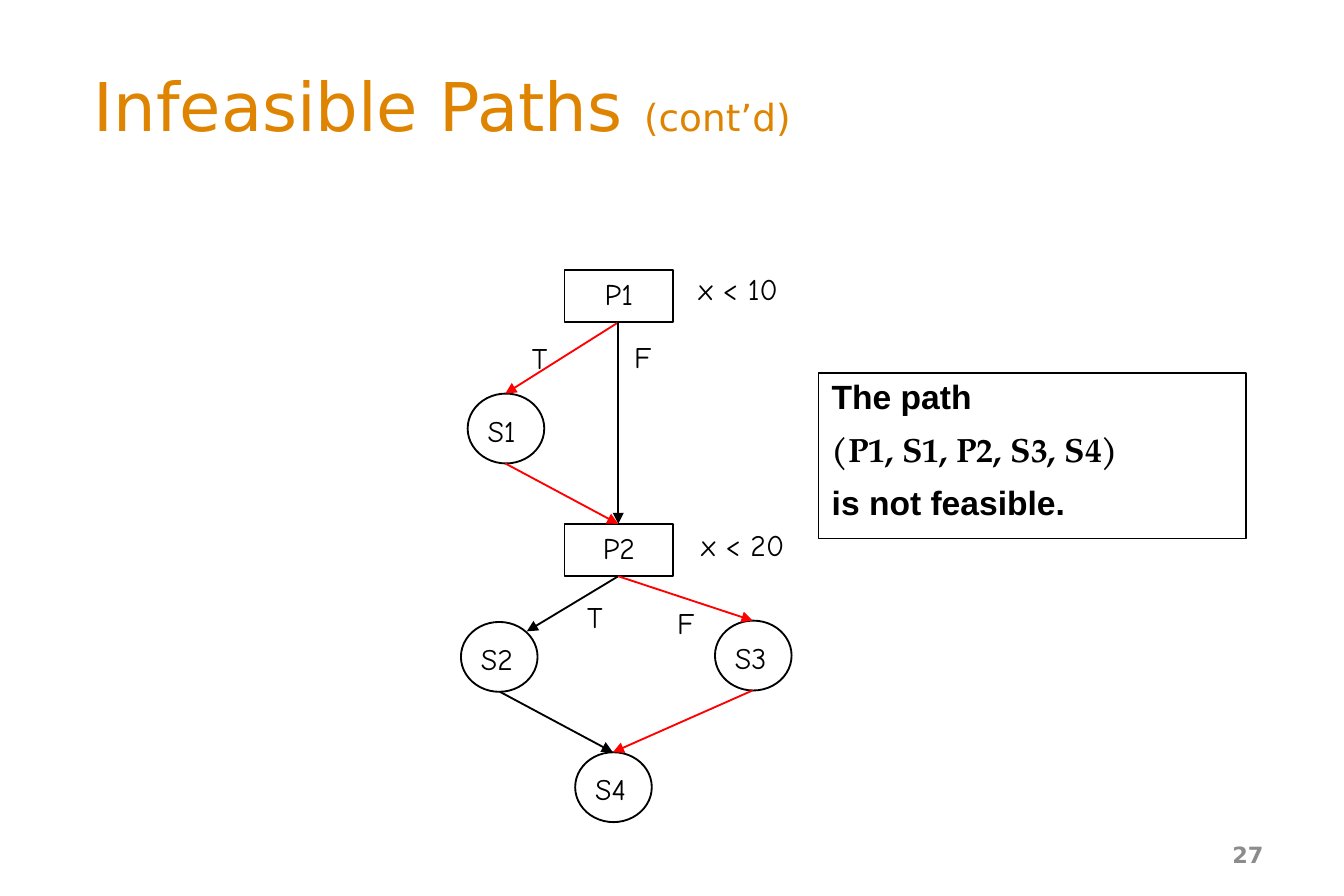
from dataclasses import dataclass

from lxml.etree import SubElement
from pptx import Presentation
from pptx.dml.color import RGBColor as Rgb
from pptx.enum.shapes import MSO_CONNECTOR as Conn, MSO_SHAPE as Shape
from pptx.enum.text import MSO_ANCHOR as Anchor, PP_ALIGN as Align
from pptx.oxml.ns import qn
from pptx.util import Pt

PX = 9144
INK = {"title": "DE8400", "black": "000000", "red": "FF0000", "gray": "8C8C8C"}
SANS, COMIC, ARIAL, SERIF = "DejaVu Sans", "Comic Neue", "Arial", "TeX Gyre Pagella"


@dataclass(frozen=True)
class Box:
    x: int
    y: int
    w: int
    h: int

    def emu(self) -> list[int]:
        return [v * PX for v in (self.x, self.y, self.w, self.h)]

    def point(self, fx: float, fy: float) -> tuple[int, int]:
        return round(self.x + fx * self.w), round(self.y + fy * self.h)


@dataclass(frozen=True)
class Edge:
    start: str
    end: str
    ink: str = "black"
    at: tuple[float, float] = (0.5, 0)


@dataclass(frozen=True)
class Label:
    text: str
    x: int
    y: int
    w: int = 53


TESTS = {"P1": Box(420, 201, 81, 39), "P2": Box(420, 390, 81, 39)}
STEPS = {
    name: Box(x, y, 57, 52)
    for name, x, y in (("S1", 348, 293), ("S2", 343, 463), ("S3", 532, 462), ("S4", 428, 560))
}
NODES = TESTS | STEPS
EDGES = [
    Edge("P1", "S1", "red"),
    Edge("P1", "P2"),
    Edge("P2", "S2", at=(0.86, 0.14)),
    Edge("P2", "S3", "red"),
    Edge("S2", "S4"),
    Edge("S3", "S4", "red"),
    Edge("S1", "P2", "red"),
]
LABELS = [
    Label("T", 386, 251),
    Label("F", 462, 250),
    Label("x < 10", 510, 200, 110),
    Label("x < 20", 512, 390, 110),
    Label("T", 427, 444),
    Label("F", 494, 448),
]


def write(shape, lines, *, size=16, ink="black", bold=False, align=Align.LEFT,
          anchor=Anchor.TOP, wrap=True, space=0.9, gap=0) -> None:
    frame = shape.text_frame
    frame.word_wrap, frame.vertical_anchor = wrap, anchor
    for i, runs in enumerate(lines):
        para = frame.add_paragraph() if i else frame.paragraphs[0]
        para.alignment, para.line_spacing = align, space
        para.space_before = Pt(gap if i else 0)
        for text, face, *own in runs:
            run = para.add_run()
            run.text = text
            font = run.font
            font.name, font.bold = face, bold
            font.size = Pt(own[0] if own else size)
            font.color.rgb = Rgb.from_string(INK[ink])


def draw(slide, box: Box, kind):
    shape = slide.shapes.add_shape(kind, *box.emu())
    shape.shadow.inherit = False
    shape.fill.background()
    shape.line.color.rgb = Rgb.from_string(INK["black"])
    shape.line.width = Pt(1)
    return shape


def note(slide, box: Box, lines, **style) -> None:
    write(slide.shapes.add_textbox(*box.emu()), lines, **style)


def link(slide, edge: Edge) -> None:
    ends = NODES[edge.start].point(0.5, 1) + NODES[edge.end].point(*edge.at)
    line = slide.shapes.add_connector(Conn.STRAIGHT, *(v * PX for v in ends))
    line.line.color.rgb = Rgb.from_string(INK[edge.ink])
    line.line.width = Pt(1)
    SubElement(line.line._get_or_add_ln(), qn("a:tailEnd"), type="triangle")
    SubElement(line._element.spPr, qn("a:effectLst"))


def main() -> None:
    deck = Presentation()
    deck.slide_width, deck.slide_height = 1000 * PX, 667 * PX
    slide = deck.slides.add_slide(deck.slide_layouts[6])

    note(slide, Box(60, 22, 884, 111),
         [[("Infeasible Paths ", SANS, 36), ("(cont’d)", SANS, 20)]],
         ink="title", anchor=Anchor.MIDDLE, space=1.0)
    for name, box in TESTS.items():
        write(draw(slide, box, Shape.RECTANGLE), [[(name, COMIC)]],
              align=Align.CENTER, anchor=Anchor.MIDDLE, wrap=False)
    for name, box in STEPS.items():
        draw(slide, box, Shape.OVAL)
        note(slide, Box(box.x + 5, box.y + 12, 53, 34), [[(name, COMIC)]])
    for edge in EDGES:
        link(slide, edge)
    for label in LABELS:
        note(slide, Box(label.x, label.y, label.w, 34), [[(label.text, COMIC)]])

    claim = draw(slide, Box(609, 278, 318, 123), Shape.RECTANGLE)
    write(claim,
          [[("The path", ARIAL)], [("(P1, S1, P2, S3, S4)", SERIF)], [("is not feasible.", ARIAL)]],
          size=18, bold=True, gap=9)
    note(slide, Box(717, 618, 233, 36), [[("27", SANS)]], size=12, ink="gray", bold=True,
         align=Align.RIGHT, anchor=Anchor.MIDDLE, space=1.0)
    deck.save("out.pptx")


if __name__ == "__main__":
    main()
